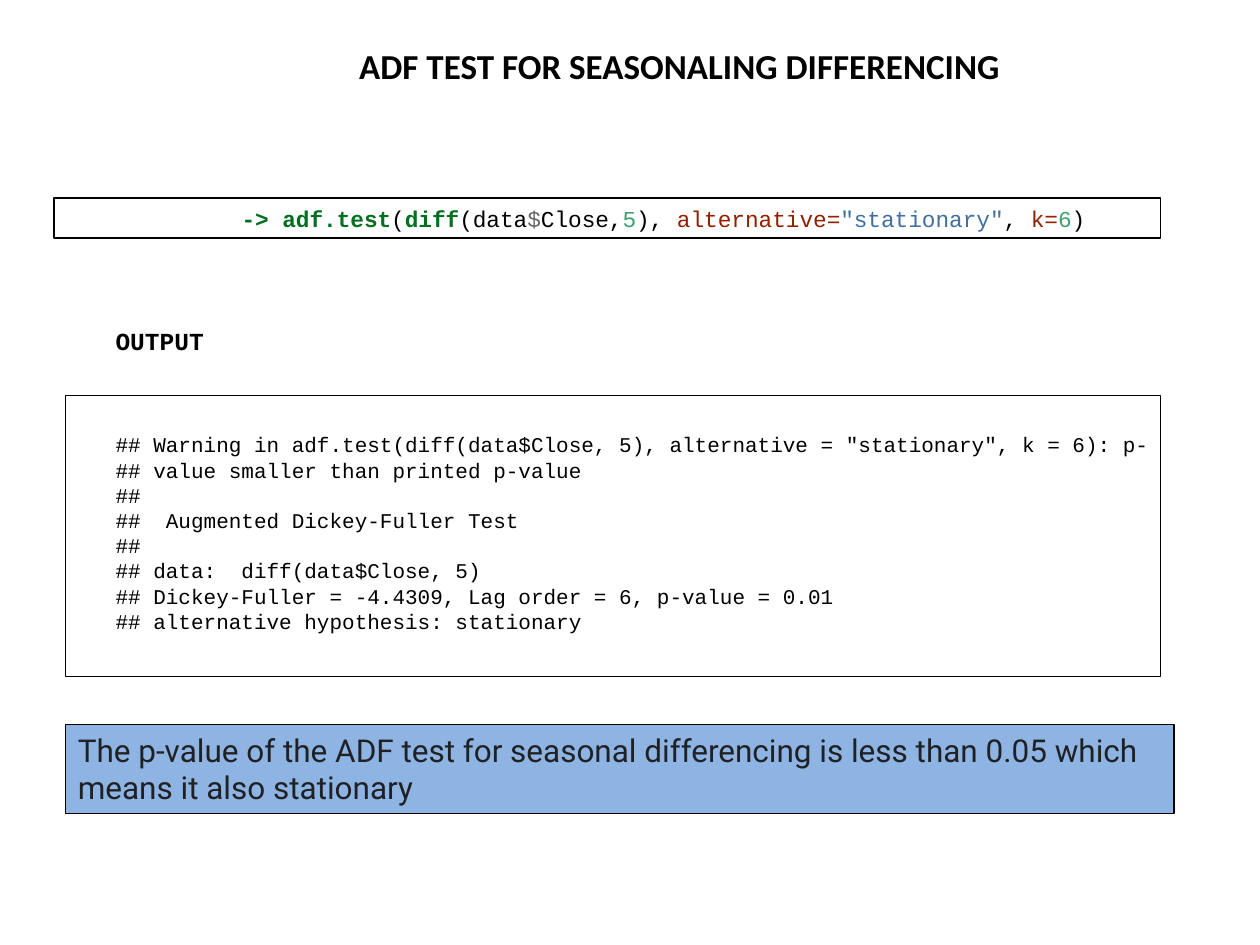
from typing import NamedTuple

from pptx import Presentation
from pptx import util as u
from pptx.dml.color import RGBColor
from pptx.enum import shapes, text

COLORS = {
    "black": "000000",
    "function": "007020",
    "operator": "666666",
    "number": "40A070",
    "argument": "902000",
    "string": "4070A0",
    "highlight": "8EB4E3",
    "conclusion": "202124",
}
CODE_FONT = "Courier New"
CODE_INDENT = u.Cm(3.53)


class Area(NamedTuple):
    left: float
    top: float
    width: float
    height: float

    def lengths(self) -> list[u.Cm]:
        return [u.Cm(value) for value in self]


class Span(NamedTuple):
    text: str
    color: str = "black"
    bold: bool = False


CODE = [
    Span("-> adf.test", "function", True),
    Span("("),
    Span("diff", "function", True),
    Span("(data"),
    Span("$", "operator"),
    Span("Close,"),
    Span("5", "number"),
    Span("), "),
    Span("alternative=", "argument"),
    Span('"stationary"', "string"),
    Span(", "),
    Span("k=", "argument"),
    Span("6", "number"),
    Span(")"),
]
OUTPUT_LINES = [
    '## Warning in adf.test(diff(data$Close, 5), alternative = "stationary", k = 6): p-',
    "## value smaller than printed p-value",
    "##",
    "##  Augmented Dickey-Fuller Test",
    "##",
    "## data:  diff(data$Close, 5)",
    "## Dickey-Fuller = -4.4309, Lag order = 6, p-value = 0.01",
    "## alternative hypothesis: stationary",
]


def rgb(name: str) -> RGBColor:
    return RGBColor.from_string(COLORS[name])


def add_frame(page, area: Area, fill: str | None = None):
    """Add a thin black rectangle, hollow unless a fill is named."""
    box = page.shapes.add_shape(shapes.MSO_SHAPE.RECTANGLE, *area.lengths())
    box.shadow.inherit = False
    box.line.color.rgb = rgb("black")
    box.line.width = u.Pt(0.75)
    if fill:
        box.fill.solid()
        box.fill.fore_color.rgb = rgb(fill)
    else:
        box.fill.background()
    return box


def prepare_text(box, anchor=text.MSO_ANCHOR.TOP):
    """Set wrapping and anchor, and return the first paragraph."""
    settings = {
        "word_wrap": True,
        "auto_size": text.MSO_AUTO_SIZE.NONE,
        "vertical_anchor": anchor,
        "margin_left": u.Cm(0.25),
        "margin_right": u.Cm(0.25),
        "margin_top": u.Cm(0.13),
        "margin_bottom": u.Cm(0.13),
    }
    for name, value in settings.items():
        setattr(box.text_frame, name, value)
    return box.text_frame.paragraphs[0]


def write(para, spans: list[Span], font: str, size: float, indent: int = 0) -> None:
    para.alignment = text.PP_ALIGN.LEFT
    if indent:
        properties = para._p.get_or_add_pPr()
        properties.set("marL", str(int(indent)))
        properties.set("indent", "0")
    for span in spans:
        run = para.add_run()
        run.text = span.text
        settings = {"name": font, "size": u.Pt(size), "bold": span.bold}
        for name, value in settings.items():
            setattr(run.font, name, value)
        run.font.color.rgb = rgb(span.color)


def add_title(page) -> None:
    title = page.shapes.title
    area = Area(6.99, 0.76, 14.4, 1.12)
    for name, value in zip(Area._fields, area.lengths()):
        setattr(title, name, value)
    spans = [Span("ADF TEST FOR SEASONALING DIFFERENCING", bold=True)]
    write(prepare_text(title), spans, "Calibri", 20)


def add_output(page) -> None:
    box = page.shapes.add_textbox(*Area(-1.45, 6.45, 25.15, 6.5).lengths())
    heading = prepare_text(box)
    write(heading, [Span("OUTPUT", bold=True)], CODE_FONT, 14, CODE_INDENT)
    heading.space_after = u.Pt(43.5)
    for line in OUTPUT_LINES:
        para = box.text_frame.add_paragraph()
        para.line_spacing = u.Pt(14.4)
        write(para, [Span(line)], CODE_FONT, 12, CODE_INDENT)


def main() -> None:
    deck = Presentation()
    deck.slide_width, deck.slide_height = u.Cm(25.4), u.Cm(19.05)
    page = deck.slides.add_slide(deck.slide_layouts[5])

    add_title(page)
    code = add_frame(page, Area(1.09, 3.99, 22.3, 0.81))
    write(prepare_text(code, text.MSO_ANCHOR.MIDDLE), CODE, CODE_FONT, 13, CODE_INDENT)
    add_output(page)
    add_frame(page, Area(1.32, 7.98, 22.07, 5.66))
    conclusion = add_frame(page, Area(1.32, 14.6, 22.35, 1.8), "highlight")
    message = (
        "The p-value of the ADF test for seasonal differencing is less than 0.05 "
        "which means it also stationary"
    )
    write(prepare_text(conclusion), [Span(message, "conclusion")], "Roboto", 18)

    deck.save("out.pptx")


if __name__ == "__main__":
    main()
